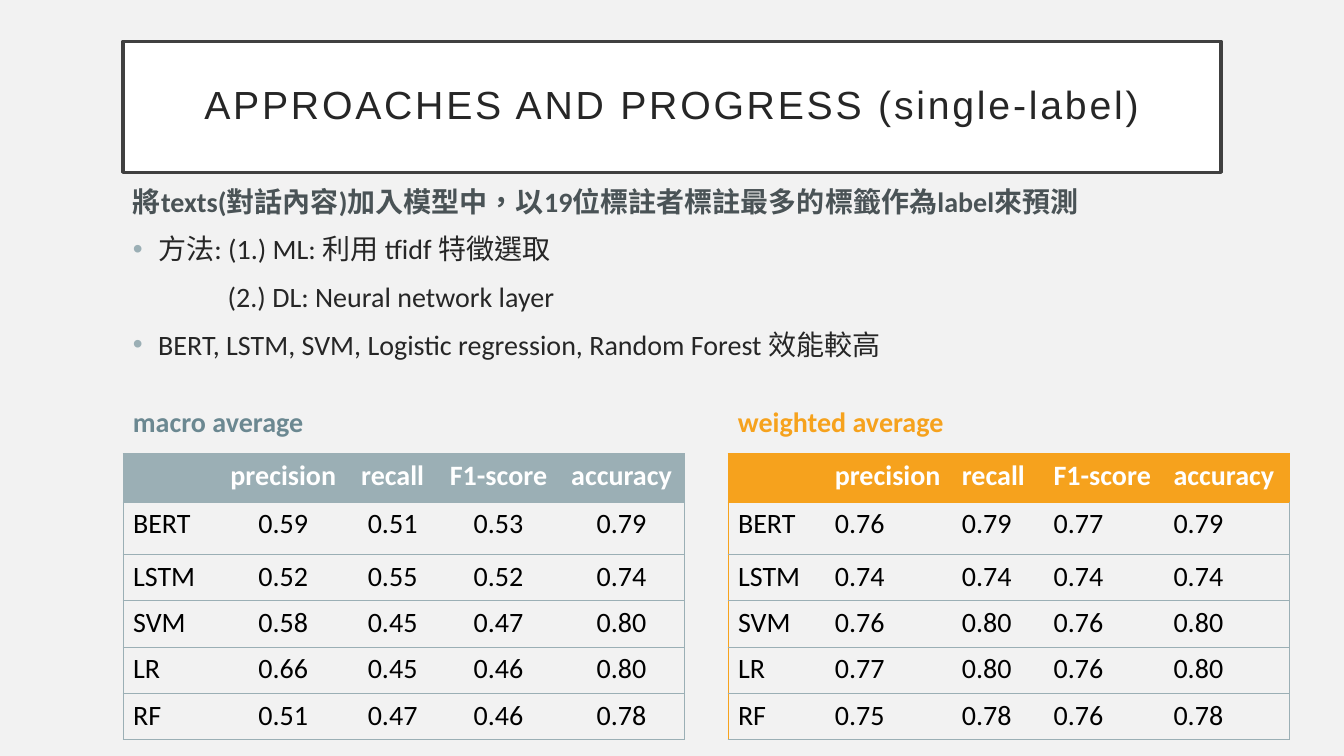
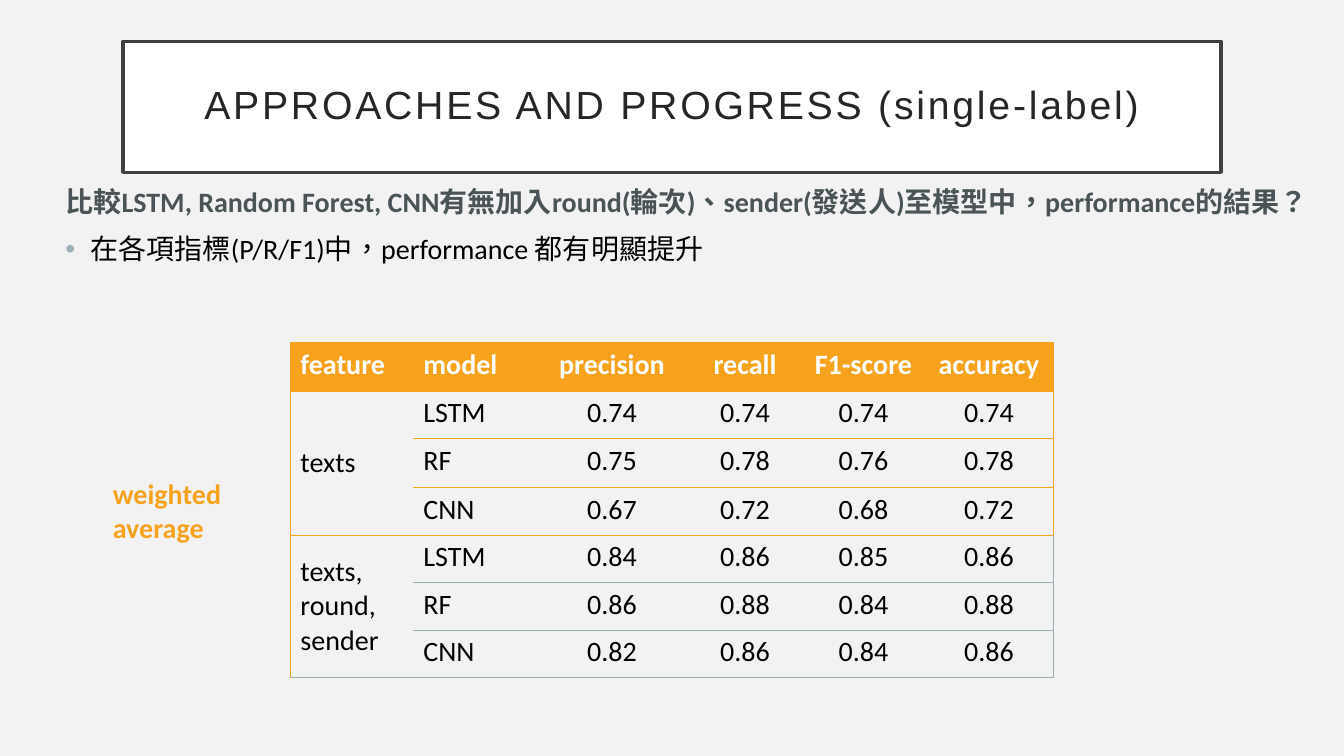
"""Build two slides that compare single-label model scores."""
import lxml.etree
import pptx
import pptx.dml.color
import pptx.enum.text
import pptx.oxml.ns
import pptx.util

Inches = pptx.util.Inches
Pt = pptx.util.Pt
ALIGN = pptx.enum.text.PP_ALIGN
MIDDLE = pptx.enum.text.MSO_ANCHOR.MIDDLE

GRAY, ORANGE, TEAL = "9BAFB5", "F6A21D", "6B8891"
WHITE, BLACK, INK, SLATE = "FFFFFF", "000000", "262626", "4A5356"
PAGE_FILL, FRAME = "F2F2F2", "404040"
NO_GRID_STYLE = "{2D5ABB26-0587-4C30-8999-92F81FD0307C}"

TITLE = "APPROACHES AND PROGRESS (single-label)"
METRICS = ["precision", "recall", "F1-score", "accuracy"]

SINGLE_INTRO = [
    ("heading", "將texts(對話內容)加入模型中，以19位標註者標註最多的標籤作為label來預測"),
    ("bullet", "方法: (1.) ML: 利用 tfidf 特徵選取"),
    ("continued", "(2.) DL: Neural network layer"),
    ("bullet", "BERT, LSTM, SVM, Logistic regression, Random Forest 效能較高"),
]
FEATURE_INTRO = [
    ("heading", "比較LSTM, Random Forest, CNN有無加入round(輪次)、sender(發送人)至模型中，"
                "performance的結果？"),
    ("bullet", "在各項指標(P/R/F1)中，performance 都有明顯提升"),
]
MACRO_SCORES = [
    [""] + METRICS,
    ["BERT", "0.59", "0.51", "0.53", "0.79"],
    ["LSTM", "0.52", "0.55", "0.52", "0.74"],
    ["SVM", "0.58", "0.45", "0.47", "0.80"],
    ["LR", "0.66", "0.45", "0.46", "0.80"],
    ["RF", "0.51", "0.47", "0.46", "0.78"],
]
WEIGHTED_SCORES = [
    [""] + METRICS,
    ["BERT", "0.76", "0.79", "0.77", "0.79"],
    ["LSTM", "0.74", "0.74", "0.74", "0.74"],
    ["SVM", "0.76", "0.80", "0.76", "0.80"],
    ["LR", "0.77", "0.80", "0.76", "0.80"],
    ["RF", "0.75", "0.78", "0.76", "0.78"],
]
FEATURE_SCORES = [
    ["feature", "model"] + METRICS,
    ["texts", "LSTM", "0.74", "0.74", "0.74", "0.74"],
    ["", "RF", "0.75", "0.78", "0.76", "0.78"],
    ["", "CNN", "0.67", "0.72", "0.68", "0.72"],
    ["texts,\nround,\nsender", "LSTM", "0.84", "0.86", "0.85", "0.86"],
    ["", "RF", "0.86", "0.88", "0.84", "0.88"],
    ["", "CNN", "0.82", "0.86", "0.84", "0.86"],
]
AVERAGE_TABLES = [
    ("macro average", TEAL, GRAY, 1.22, MACRO_SCORES, ALIGN.CENTER),
    ("weighted average", ORANGE, ORANGE, 7.22, WEIGHTED_SCORES, ALIGN.LEFT),
]
AVERAGE_COLUMNS = [0.96, 1.26, 0.91, 1.19, 1.25]
AVERAGE_ROWS = [0.48, 0.52] + [0.46] * 4
FEATURE_COLUMNS = [1.22, 1.22, 1.5, 1.14, 1.21, 1.28]
FEATURE_ROWS = [0.48, 0.47, 0.49] + [0.47] * 4
FEATURE_GROUPS = [(1, 3), (4, 6)]


def rgb(value):
    return pptx.dml.color.RGBColor.from_string(value)


def add_child(parent, tag, **attributes):
    return lxml.etree.SubElement(parent, pptx.oxml.ns.qn(tag), attributes)


def style_para(para, color, bold=False, size=20, font="Calibri"):
    for span in para.runs:
        span.font.name = font
        span.font.size = Pt(size)
        span.font.bold = bold
        span.font.color.rgb = rgb(color)
        span.font._element.set("lang", "zh-TW")


def add_page(deck):
    page = deck.slides.add_slide(deck.slide_layouts[5])
    title = page.shapes.title
    title.left, title.top = Inches(1.22), Inches(0.41)
    title.width, title.height = Inches(10.89), Inches(1.3)
    title.fill.solid()
    title.fill.fore_color.rgb = rgb(WHITE)
    title.line.color.rgb = rgb(FRAME)
    title.line.width = Pt(2.5)
    frame = title.text_frame
    frame.text = TITLE
    frame.vertical_anchor = MIDDLE
    frame.margin_left = frame.margin_right = Inches(0.2)
    frame.margin_top = frame.margin_bottom = Inches(0.2)
    para = frame.paragraphs[0]
    para.alignment = ALIGN.CENTER
    para.line_spacing = 0.9
    style_para(para, INK, size=28, font="Arial")
    para.runs[0].font._element.set("spc", "200")
    return page


def add_text(page, place, text, wrap=True):
    box = page.shapes.add_textbox(*map(Inches, place))
    box.text_frame.word_wrap = wrap
    box.text_frame.text = text
    return box.text_frame.paragraphs


def add_label(page, place, text, color, wrap=True):
    for para in add_text(page, place, text, wrap):
        style_para(para, color, bold=True)


def add_intro(page, place, lines, color):
    paras = add_text(page, place, "\n".join(text for _, text in lines))
    for para, (kind, _) in zip(paras, lines):
        heading = kind == "heading"
        para.space_before = Pt(10)
        style_para(para, SLATE if heading else color, bold=heading)
        properties = para._p.get_or_add_pPr()
        if kind == "bullet":
            properties.set("marL", str(Inches(0.25)))
            properties.set("indent", str(Inches(-0.25)))
            bullet_color = add_child(properties, "a:buClr")
            add_child(bullet_color, "a:srgbClr", val=GRAY)
            add_child(properties, "a:buFont", typeface="Arial")
            add_child(properties, "a:buChar", char="•")
        elif kind == "continued":
            properties.set("marL", str(Inches(0.94)))


def set_borders(cell, left, right, top, bottom):
    properties = cell._tc.get_or_add_tcPr()
    sides = {"a:lnL": left, "a:lnR": right, "a:lnT": top, "a:lnB": bottom}
    for position, (tag, color) in enumerate(sides.items()):
        line = add_child(properties, tag, w=str(Pt(0.5)))
        if color:
            add_child(add_child(line, "a:solidFill"), "a:srgbClr", val=color)
        else:
            add_child(line, "a:noFill")
        properties.insert(position, line)


def add_scores(page, corner, scores, widths, heights, accent, row_lines,
               align=ALIGN.CENTER, groups=()):
    """Draw a score table; row_lines holds the colour below each row."""
    size = sum(widths), sum(heights)
    table = page.shapes.add_table(len(scores), len(widths),
                                  *map(Inches, corner + size)).table
    table._tbl.tblPr.find(pptx.oxml.ns.qn("a:tableStyleId")).text = NO_GRID_STYLE
    for column, width in zip(table.columns, widths):
        column.width = Inches(width)
    for row, height in zip(table.rows, heights):
        row.height = Inches(height)
    last = len(widths) - 1
    first_metric = len(widths) - len(METRICS)
    for r, values in enumerate(scores):
        for c, value in enumerate(values):
            cell = table.cell(r, c)
            cell.text = value
            for para in cell.text_frame.paragraphs:
                para.alignment = align if c >= first_metric else ALIGN.LEFT
                style_para(para, BLACK if r else WHITE, bold=r == 0)
            if r:
                cell.fill.background()
            else:
                cell.fill.solid()
                cell.fill.fore_color.rgb = rgb(accent)
            set_borders(cell, accent if c == 0 else None,
                        row_lines[r] if c == last else None,
                        row_lines[r - 1] if r else accent, row_lines[r])
    for start, end in groups:
        table.cell(start, 0).merge(table.cell(end, 0))
        table.cell(start, 0).vertical_anchor = MIDDLE


def main():
    deck = pptx.Presentation()
    deck.slide_width, deck.slide_height = Inches(13.33), Inches(7.5)
    background = deck.slide_master.background.fill
    background.solid()
    background.fore_color.rgb = rgb(PAGE_FILL)

    page = add_page(deck)
    add_intro(page, (1.22, 1.78, 10.89, 1.97), SINGLE_INTRO, INK)
    for label, color, accent, left, scores, align in AVERAGE_TABLES:
        add_label(page, (left, 3.96, 3.04, 0.44), label, color)
        add_scores(page, (left, 4.5), scores, AVERAGE_COLUMNS, AVERAGE_ROWS,
                   accent, [accent] + [GRAY] * 5, align)

    page = add_page(deck)
    add_intro(page, (0.55, 1.78, 12.79, 1.3), FEATURE_INTRO, BLACK)
    add_scores(page, (2.88, 3.4), FEATURE_SCORES, FEATURE_COLUMNS, FEATURE_ROWS,
               ORANGE, [ORANGE] * 4 + [GRAY] * 3, groups=FEATURE_GROUPS)
    add_label(page, (1.02, 4.68, 1.29, 0.77), "weighted\naverage", ORANGE, wrap=False)
    deck.save("out.pptx")


if __name__ == "__main__":
    main()
